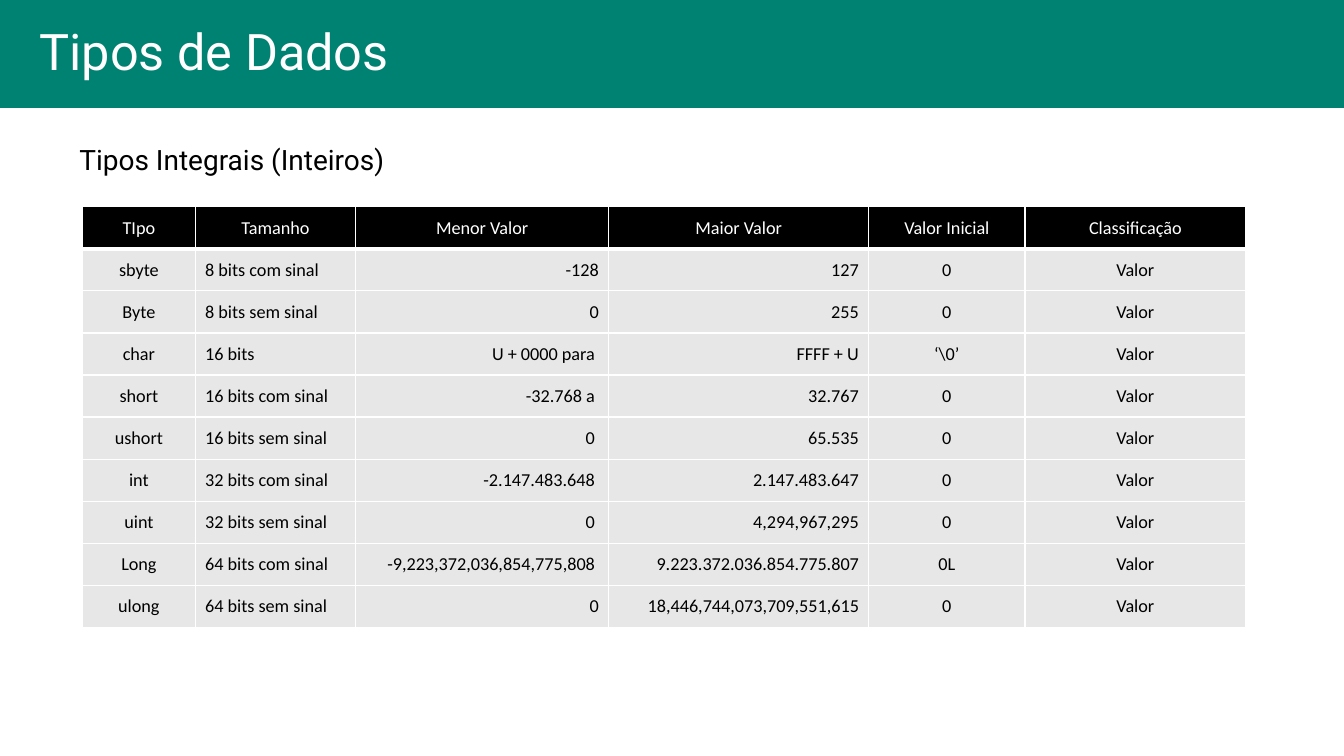
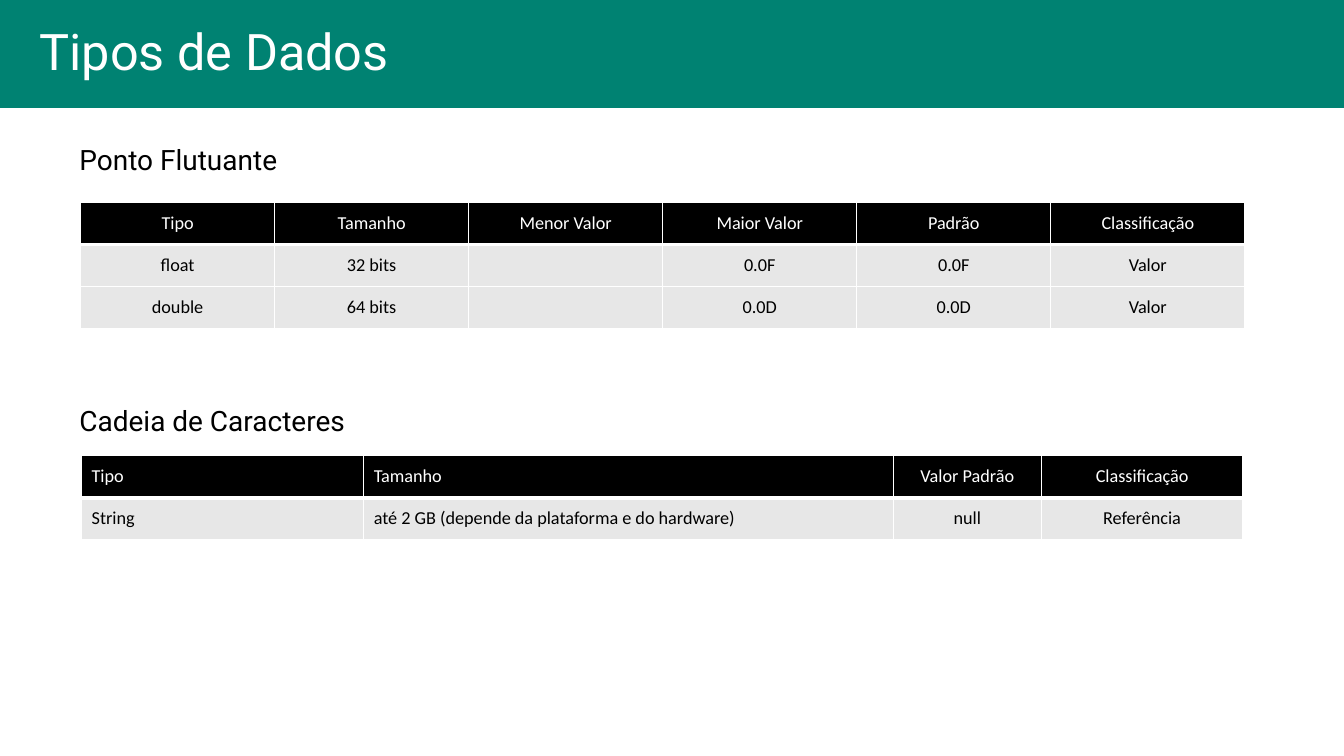
from pptx import Presentation
from pptx.dml.color import RGBColor
from pptx.enum.shapes import MSO_SHAPE
from pptx.enum.text import MSO_ANCHOR, PP_ALIGN
from pptx.oxml import parse_xml
from pptx.oxml.ns import nsdecls
from pptx.util import Cm, Pt

HUES = {"band": "008272", "head": "000000", "body": "E7E7E7",
        "light": "FFFFFF", "dark": "000000"}
SIDES = {"l": PP_ALIGN.LEFT, "c": PP_ALIGN.CENTER, "r": PP_ALIGN.RIGHT}
ROW = 1.06  # cm

# Each section: heading, heading top, table left, table top,
# column widths, header alignment, body alignment, rows (lengths in cm)
INTS = ("Tipos Integrais (Inteiros)", 2.95, 2.08, 5.21,
        [2.84, 4.04, 6.38, 6.55, 3.94, 5.56], "cccccc", "clrrcc", [
            ["TIpo", "Tamanho", "Menor Valor", "Maior Valor", "Valor Inicial", "Classificação"],
            ["sbyte", "8 bits com sinal", "-128", "127", "0", "Valor"],
            ["Byte", "8 bits sem sinal", "0", "255", "0", "Valor"],
            ["char", "16 bits", "U + 0000 para ", "FFFF + U", "‘\\0’", "Valor"],
            ["short", "16 bits com sinal", "-32.768 a ", "32.767", "0", "Valor"],
            ["ushort", "16 bits sem sinal", "0 ", "65.535", "0", "Valor"],
            ["int", "32 bits com sinal", "-2.147.483.648 ", "2.147.483.647", "0", "Valor"],
            ["uint", "32 bits sem sinal", "0 ", "4,294,967,295", "0", "Valor"],
            ["Long", "64 bits com sinal", "-9,223,372,036,854,775,808 ",
             "9.223.372.036.854.775.807", "0L", "Valor"],
            ["ulong", "64 bits sem sinal", "0", "18,446,744,073,709,551,615", "0", "Valor"],
        ])
FLOATS = ("Ponto Flutuante", 2.95, 2.03, 5.1, [4.89] * 6, "cccccc", "cccccc", [
    ["Tipo", "Tamanho", "Menor Valor", "Maior Valor", "Padrão", "Classificação"],
    ["float", "32 bits", "", "0.0F", "0.0F", "Valor"],
    ["double", "64 bits", "", "0.0D", "0.0D", "Valor"],
])
CHARS = ("Cadeia de Caracteres", 9.53, 2.06, 11.48,
         [7.11, 13.34, 3.73, 5.08], "llcc", "llcc", [
             ["Tipo", "Tamanho", "Valor Padrão", "Classificação"],
             ["String", "até 2 GB (depende da plataforma e do hardware)", "null", "Referência"],
         ])


def write(frame, text, size, font="Roboto", hue="dark", side="l", space=1.0, pad=(0, 0)):
    """Fill a text frame with one line; pad is left/right and top/bottom inset in cm."""
    frame.word_wrap = True
    frame.margin_left, frame.margin_right = Cm(pad[0]), Cm(pad[0])
    frame.margin_top, frame.margin_bottom = Cm(pad[1]), Cm(pad[1])
    frame.vertical_anchor = MSO_ANCHOR.MIDDLE
    para = frame.paragraphs[0]
    para.alignment = SIDES[side]
    para.line_spacing = space
    if not text:  # keeps an empty cell from growing its row
        para._p.get_or_add_endParaRPr().set("sz", str(size * 100))
        return
    run = para.add_run()
    run.text = text
    run.font.size = Pt(size)
    run.font.name = font
    run.font.bold = False
    run.font.color.rgb = RGBColor.from_string(HUES[hue])


def edge(cell, base):
    """Draw white cell borders, 1 pt wide except for the bottom one (base, in pt)."""
    props = cell._tc.get_or_add_tcPr()
    for spot, (tag, width) in enumerate([("lnL", 1), ("lnR", 1), ("lnT", 1), ("lnB", base)]):
        props.insert(spot, parse_xml(
            f'<a:{tag} {nsdecls("a")} w="{Pt(width)}"><a:solidFill>'
            f'<a:srgbClr val="{HUES["light"]}"/></a:solidFill></a:{tag}>'))


deck = Presentation()
deck.slide_width, deck.slide_height = Cm(33.87), Cm(19.05)

for parts in [[INTS], [FLOATS, CHARS]]:
    slide = deck.slides.add_slide(deck.slide_layouts[6])
    band = slide.shapes.add_shape(MSO_SHAPE.RECTANGLE, 0, 0, deck.slide_width, Cm(2.72))
    band.shadow.inherit = False
    band.fill.solid()
    band.fill.fore_color.rgb = RGBColor.from_string(HUES["band"])
    band.line.fill.background()
    write(band.text_frame, "Tipos de Dados", 36, hue="light", space=0.9, pad=(1, 0))

    for name, high, left, top, widths, heads, sides, rows in parts:
        label = slide.shapes.add_textbox(0, Cm(high), Cm(32.92), Cm(1.96))
        write(label.text_frame, name, 20, space=1.2, pad=(2, 0))

        grid = slide.shapes.add_table(len(rows), len(widths), Cm(left), Cm(top),
                                      Cm(sum(widths)), Cm(ROW * len(rows))).table
        grid.horz_banding = False
        for col, width in zip(grid.columns, widths):
            col.width = Cm(width)
        for r, row in enumerate(rows):
            grid.rows[r].height = Cm(ROW)
            fill, hue, align, base = (("body", "dark", sides, 1) if r
                                      else ("head", "light", heads, 3))
            for c, text in enumerate(row):
                cell = grid.cell(r, c)
                cell.fill.solid()
                cell.fill.fore_color.rgb = RGBColor.from_string(HUES[fill])
                edge(cell, base)
                write(cell.text_frame, text, 13, font="Calibri", hue=hue, side=align[c])
                cell.margin_left = cell.margin_right = Cm(0.25)
                cell.margin_top = cell.margin_bottom = Cm(0.24)
                cell.vertical_anchor = MSO_ANCHOR.MIDDLE

deck.save("out.pptx")
